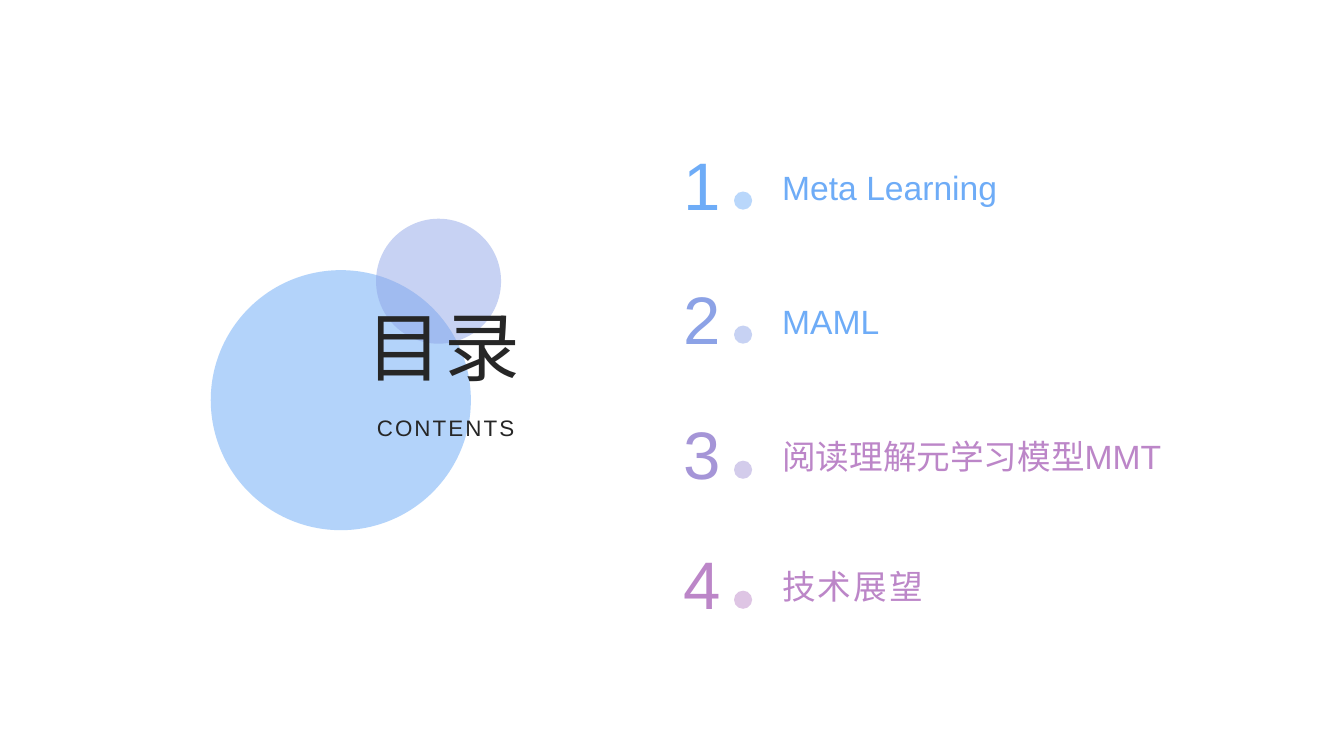
import pptx
import pptx.dml.color
import pptx.enum.shapes
import pptx.enum.text
import pptx.oxml
import pptx.oxml.ns
import pptx.util

Inches = pptx.util.Inches
RGBColor = pptx.dml.color.RGBColor
ALIGN = pptx.enum.text.PP_ALIGN
ANCHOR = pptx.enum.text.MSO_ANCHOR

BLUE = RGBColor(0x6E, 0xAC, 0xF7)
INDIGO = RGBColor(0x8C, 0xA2, 0xE6)
VIOLET = RGBColor(0xA5, 0x95, 0xD7)
MAUVE = RGBColor(0xBC, 0x86, 0xC8)
DARK = RGBColor(0x26, 0x26, 0x26)

# Row top, number colour, entry, entry colour, letter spacing
ENTRIES = [
    (1.36, BLUE, "Meta Learning", BLUE, 0),
    (2.69, INDIGO, "MAML", BLUE, 0),
    (4.03, VIOLET, "阅读理解元学习模型MMT", MAUVE, 0),
    (5.32, MAUVE, "技术展望", MAUVE, 1.5),
]


def add_circle(s, left, top, size, color, opacity):
    sp = s.shapes.add_shape(pptx.enum.shapes.MSO_SHAPE.OVAL, Inches(left),
                            Inches(top), Inches(size), Inches(size))
    sp.shadow.inherit = False
    sp.line.fill.background()
    sp.fill.solid()
    sp.fill.fore_color.rgb = color
    srgb = sp.fill._xPr.find(".//" + pptx.oxml.ns.qn("a:srgbClr"))
    alpha = pptx.oxml.parse_xml(
        f'<a:alpha {pptx.oxml.ns.nsdecls("a")} val="{opacity * 1000}"/>')
    srgb.append(alpha)


def write_text(sp, text, size, color, align, anchor=ANCHOR.TOP, spacing=0):
    tf = sp.text_frame
    tf.word_wrap = True
    tf.auto_size = pptx.enum.text.MSO_AUTO_SIZE.NONE
    tf.vertical_anchor = anchor
    p = tf.paragraphs[0]
    p.alignment = align
    p.space_before = pptx.util.Pt(0)
    r = p.add_run()
    r.text = text
    r.font.size = pptx.util.Pt(size)
    r.font.name = "Arial"
    r.font.color.rgb = color
    if spacing:
        r.font._element.set("spc", str(int(spacing * 100)))


def place_heading(sp, left, top, width, height, text, size):
    sp.left, sp.top = Inches(left), Inches(top)
    sp.width, sp.height = Inches(width), Inches(height)
    write_text(sp, text, size, DARK, ALIGN.CENTER, spacing=1.5)
    # Bring in front of the circles
    sp.element.getparent().append(sp.element)


def add_text(s, left, top, width, height, *args, **kwargs):
    sp = s.shapes.add_textbox(Inches(left), Inches(top),
                              Inches(width), Inches(height))
    write_text(sp, *args, **kwargs)


def add_entry(s, number, top, color, text, text_color, spacing):
    add_text(s, 6.67, top, 0.58, 0.91, str(number), 48, color,
             ALIGN.RIGHT, ANCHOR.BOTTOM)
    add_text(s, 7.66, top + 0.25, 4.12, 0.46, text, 24, text_color,
             ALIGN.LEFT, spacing=spacing)
    add_circle(s, 7.28, top + 0.54, 0.18, color, 48)


def main():
    prs = pptx.Presentation()
    prs.slide_width, prs.slide_height = Inches(13.33), Inches(7.5)
    s = prs.slides.add_slide(prs.slide_layouts[0])

    # Overlapping circles behind the heading
    add_circle(s, 2.09, 2.68, 2.58, BLUE, 52)
    add_circle(s, 3.73, 2.17, 1.24, INDIGO, 48)

    # Heading
    place_heading(s.placeholders[1], 3.34, 4.06, 2.16, 0.37, "CONTENTS", 16)
    place_heading(s.shapes.title, 3.35, 2.93, 2.09, 1.01, "目录", 54)

    # Numbered entries
    for number, entry in enumerate(ENTRIES, 1):
        add_entry(s, number, *entry)

    prs.save("out.pptx")


if __name__ == "__main__":
    main()
